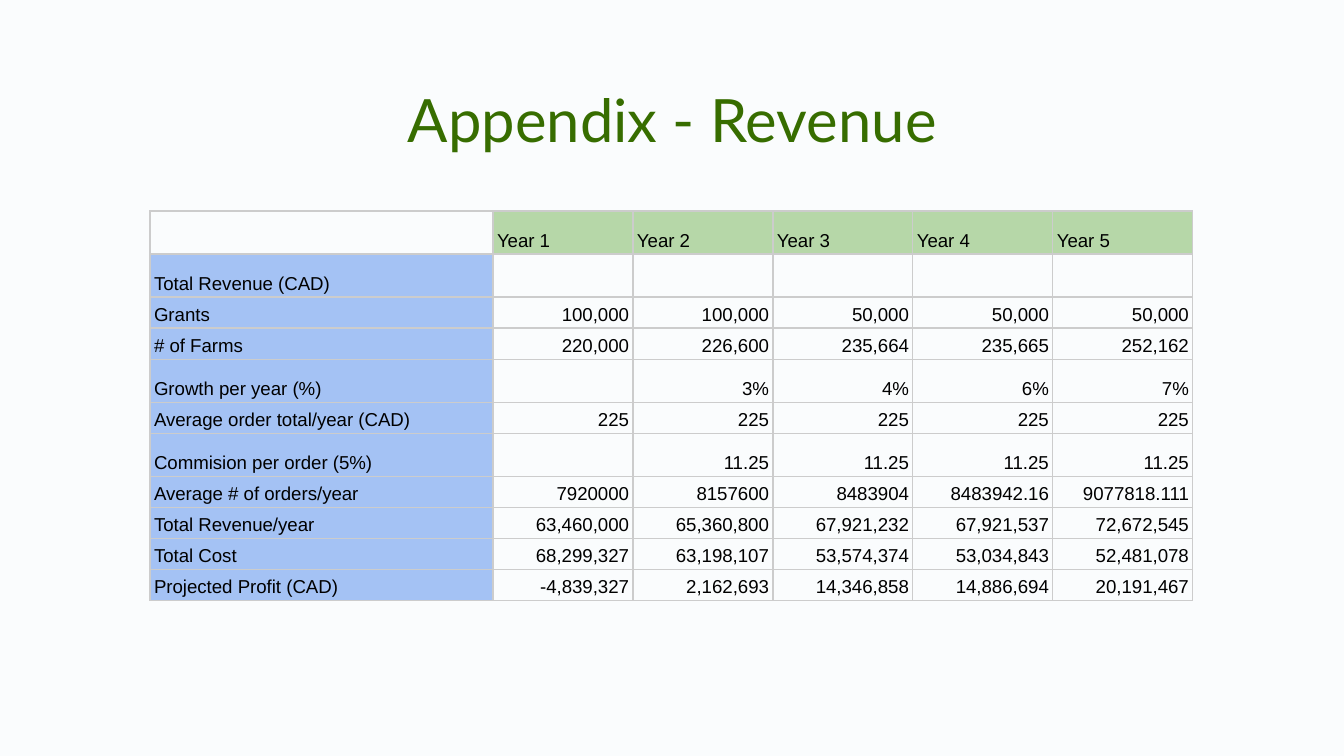
from lxml.etree import SubElement
from pptx import Presentation
from pptx.dml.color import RGBColor
from pptx.enum.text import MSO_ANCHOR as Anchor, PP_ALIGN as Align
from pptx.oxml.ns import qn
from pptx.util import Inches, Pt

PX_PER_INCH = 134.4
ROW_HEIGHT = 29
TALL_ROW_HEIGHT = 43
LABEL_WIDTH = 343
YEAR_WIDTH = 140
TABLE_LEFT = 150
TABLE_TOP = 211
BACKGROUND = "FAFCFD"
TITLE_COLOR = "376D00"
TEXT_COLOR = "000000"
YEAR_FILL = "B6D7A8"
LABEL_FILL = "A4C2F4"
BORDER_COLOR = "CCCCCC"

ROWS = [
    ["", "Year 1", "Year 2", "Year 3", "Year 4", "Year 5"],
    ["Total Revenue (CAD)", "", "", "", "", ""],
    ["Grants", "100,000", "100,000", "50,000", "50,000", "50,000"],
    ["# of Farms", "220,000", "226,600", "235,664", "235,665", "252,162"],
    ["Growth per year (%)", "", "3%", "4%", "6%", "7%"],
    ["Average order total/year (CAD)", "225", "225", "225", "225", "225"],
    ["Commision per order (5%)", "", "11.25", "11.25", "11.25", "11.25"],
    ["Average # of orders/year", "7920000", "8157600", "8483904", "8483942.16", "9077818.111"],
    ["Total Revenue/year", "63,460,000", "65,360,800", "67,921,232", "67,921,537", "72,672,545"],
    ["Total Cost", "68,299,327", "63,198,107", "53,574,374", "53,034,843", "52,481,078"],
    ["Projected Profit (CAD)", "-4,839,327", "2,162,693", "14,346,858", "14,886,694", "20,191,467"],
]


def px(length):
    return Inches(length / PX_PER_INCH)


def color(value):
    return RGBColor.from_string(value)


def add_run(paragraph, text, font_name, size, text_color):
    run = paragraph.add_run()
    run.text = text
    run.font.name = font_name
    run.font.size = Pt(size)
    run.font.color.rgb = color(text_color)


def add_title(slide, text):
    shape = slide.shapes.add_textbox(px(106), px(69), px(1133), px(85))
    frame = shape.text_frame
    frame.word_wrap = True
    frame.margin_left = frame.margin_right = Inches(0.1)
    frame.margin_top = frame.margin_bottom = Inches(0.1)
    paragraph = frame.paragraphs[0]
    paragraph.alignment = Align.CENTER
    add_run(paragraph, text, "Lato", 32, TITLE_COLOR)


def add_borders(cell):
    properties = cell._tc.get_or_add_tcPr()
    for side in ("lnL", "lnR", "lnT", "lnB"):
        line = SubElement(properties, qn(f"a:{side}"), w=str(Pt(0.75)))
        fill = SubElement(line, qn("a:solidFill"))
        SubElement(fill, qn("a:srgbClr"), val=BORDER_COLOR)


def fill_cell(cell, fill_color):
    if fill_color:
        cell.fill.solid()
        cell.fill.fore_color.rgb = color(fill_color)
    else:
        cell.fill.background()


def write_cell(cell, text, alignment):
    cell.vertical_anchor = Anchor.BOTTOM
    cell.margin_left = cell.margin_right = Inches(0.03)
    cell.margin_top = cell.margin_bottom = Inches(0.02)
    paragraph = cell.text_frame.paragraphs[0]
    paragraph.alignment = alignment
    paragraph.line_spacing = 1.15
    if text:
        add_run(paragraph, text, "Arial", 10, TEXT_COLOR)
    else:
        SubElement(paragraph._p, qn("a:endParaRPr"), sz="1000")


def cell_fill(row, column):
    if row == 0:
        return YEAR_FILL if column else None
    return None if column else LABEL_FILL


def add_revenue_table(slide):
    heights = [TALL_ROW_HEIGHT if "" in row else ROW_HEIGHT for row in ROWS]
    widths = [LABEL_WIDTH] + [YEAR_WIDTH] * (len(ROWS[0]) - 1)
    table = slide.shapes.add_table(
        len(heights), len(widths), px(TABLE_LEFT), px(TABLE_TOP),
        px(sum(widths)), px(sum(heights)),
    ).table
    table.first_row = False
    table.horz_banding = False
    for column, width in zip(table.columns, widths):
        column.width = px(width)
    for row, height in zip(table.rows, heights):
        row.height = px(height)
    for row, values in enumerate(ROWS):
        for column, text in enumerate(values):
            cell = table.cell(row, column)
            write_cell(cell, text, Align.RIGHT if row and column else Align.LEFT)
            add_borders(cell)
            fill_cell(cell, cell_fill(row, column))


def main():
    presentation = Presentation()
    presentation.slide_width = px(1344)
    presentation.slide_height = px(756)
    slide = presentation.slides.add_slide(presentation.slide_layouts[6])
    slide.background.fill.solid()
    slide.background.fill.fore_color.rgb = color(BACKGROUND)
    add_title(slide, "Appendix - Revenue")
    add_revenue_table(slide)
    presentation.save("out.pptx")


if __name__ == "__main__":
    main()
